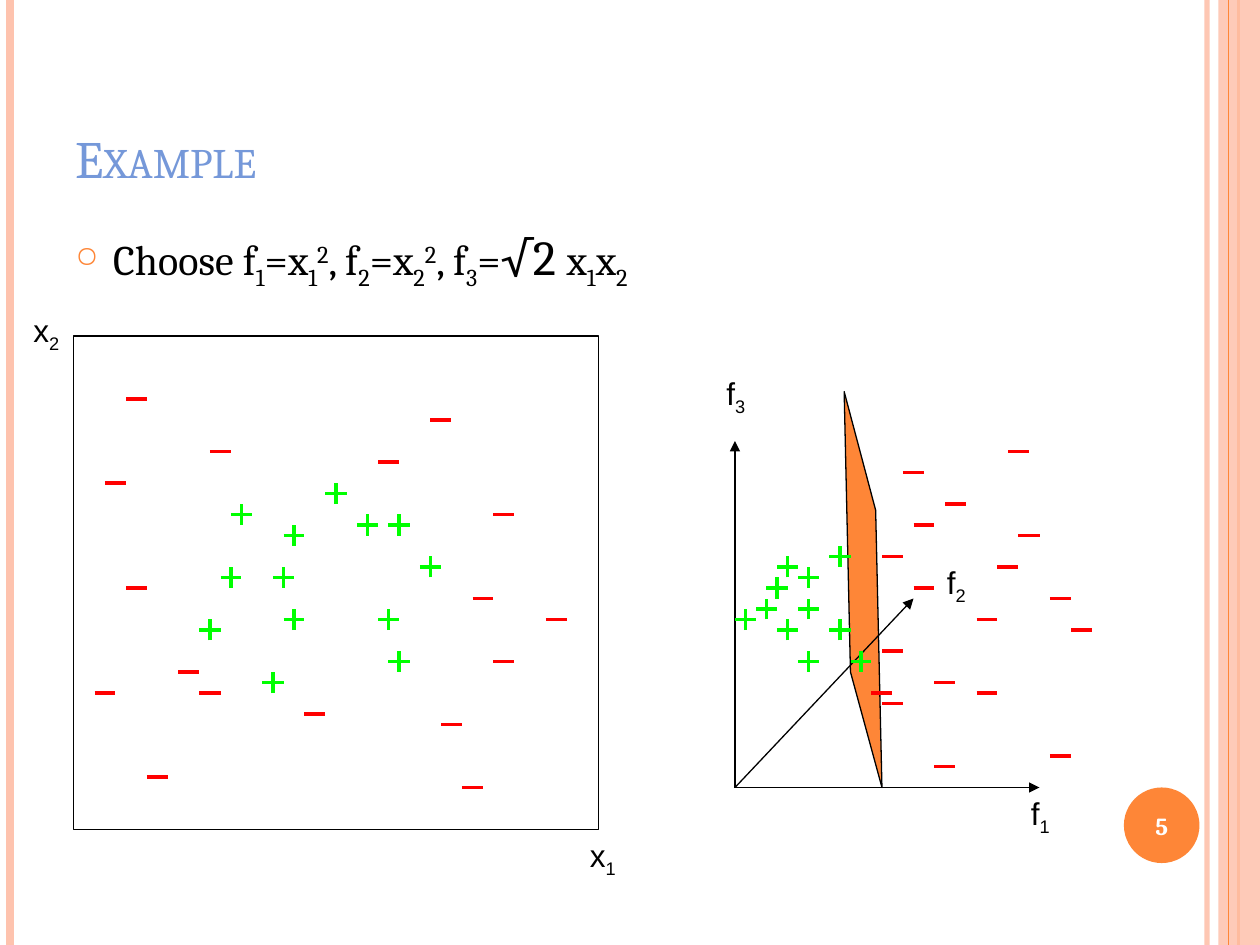
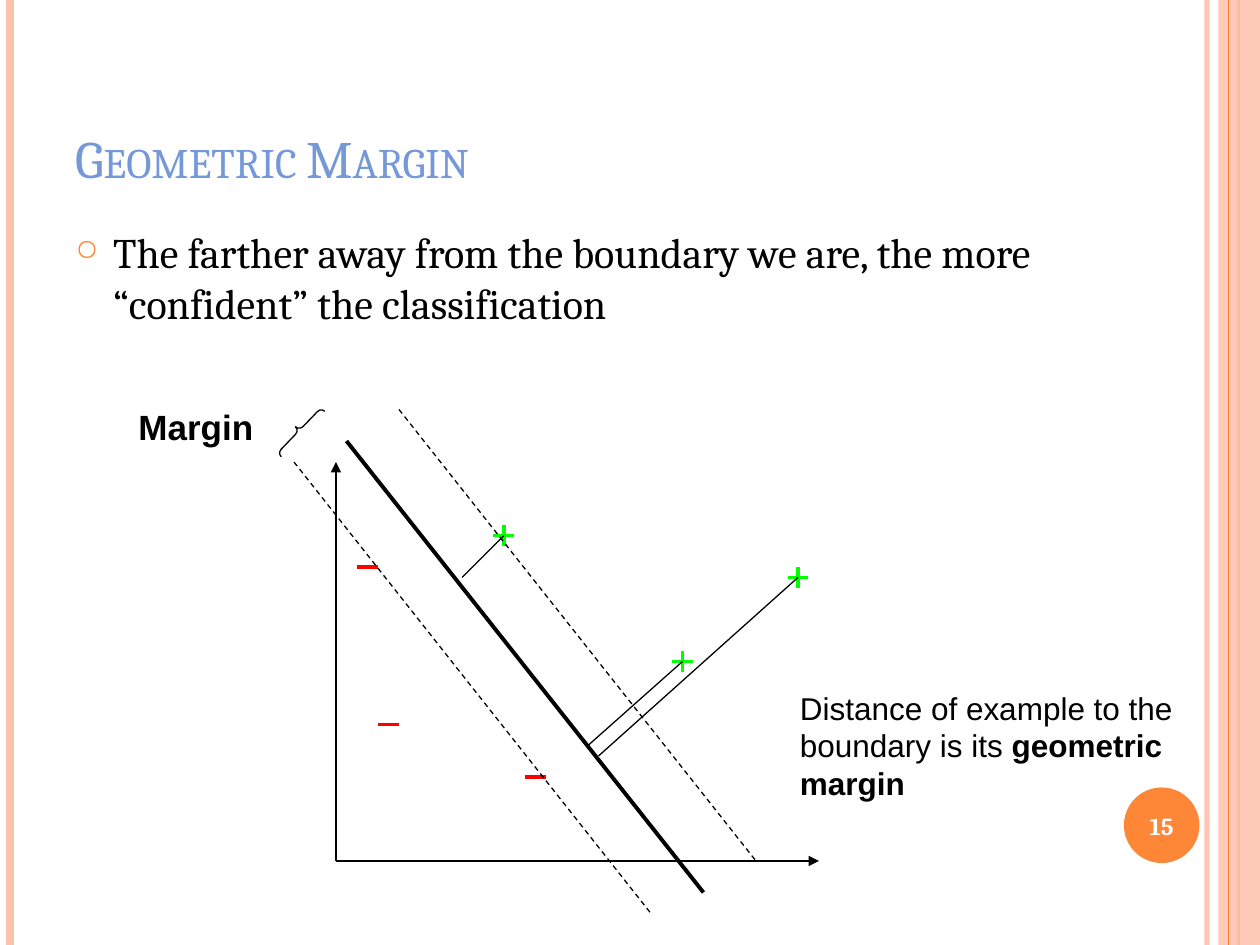
from lxml.etree import SubElement
from pptx import Presentation
from pptx.dml.color import RGBColor
from pptx.enum.dml import MSO_LINE
from pptx.enum.shapes import MSO_CONNECTOR, MSO_SHAPE
from pptx.enum.text import MSO_ANCHOR, PP_ALIGN
from pptx.oxml.ns import qn
from pptx.util import Inches, Pt

WIDTH, HEIGHT = 10, 7.5
CELL = 1 / 12  # drawings sit on a grid of twelfths of an inch

COLORS = {
    "title": "7598D9", "accent": "FE8637", "band": "FEC3AE",
    "text": "000000", "paper": "FFFFFF", "minus": "FF0000", "plus": "00FF00",
}
SERIF, SANS = "Cambria", "Arial"
BASELINES = {"sub": "-25000", "sup": "30000"}

# Vertical lines at the slide edges: x, colour, width in points, opacity in %
EDGE_LINES = [
    (9.58, "band", 3, 93), (0.08, "band", 4.5, 100),
    (9.83, "accent", 1.5, 100),
]
INNER_EDGE_LINE = (9.75, "accent", 0.75, 100)

# Text is a list of (words, style) pairs; grid places are (column, row)
EXAMPLE = {
    "title": "Example",
    "number": "5",
    "body": [
        ("Choose f", ""), ("1", "sub"), ("=x", ""), ("1", "sub"), ("2", "sup"),
        (", f", ""), ("2", "sub"), ("=x", ""), ("2", "sub"), ("2", "sup"),
        (", f", ""), ("3", "sub"), ("=", ""), ("√2 ", "big"),
        ("x", ""), ("1", "sub"), ("x", ""), ("2", "sub"),
    ],
    "input_frame": (7, 32, 50, 47),
    "input_minus": [
        (13, 38), (11, 46), (21, 43), (13, 56), (10, 66), (18, 64), (15, 74),
        (20, 66), (42, 40), (48, 49), (30, 68), (37, 44), (46, 57), (53, 59),
        (48, 63), (45, 75), (43, 69),
    ],
    "input_plus": [
        (28, 51), (22, 55), (23, 49), (28, 59), (27, 55), (32, 47), (38, 50),
        (35, 50), (37, 59), (26, 65), (20, 60), (38, 63), (41, 54),
    ],
    "plane": [(80.4, 37.3), (83.4, 48.6), (84, 75), (81, 64)],
    "origin": (70, 75),
    "axis_ends": [(70, 42), (87, 57), (99, 75)],
    "feature_plus": [
        (77, 55), (77, 58), (73, 58), (77, 63), (80, 53), (80, 60), (71, 59),
        (75, 54), (74, 56), (75, 60), (82, 63),
    ],
    "feature_minus": [
        (96, 54), (98, 51), (87, 45), (88, 50), (101, 57), (94, 59), (91, 48),
        (85, 53), (90, 65), (88, 56), (84, 66), (85, 62), (85, 67), (97, 43),
        (94, 66), (90, 73), (101, 72), (103, 60),
    ],
    "axis_labels": [
        ("x", "1", (55, 79)), ("x", "2", (2, 29)),
        ("f", "1", (97, 75)), ("f", "2", (89, 53)), ("f", "3", (68, 35)),
    ],
}

MARGIN = {
    "title": "Geometric Margin",
    "number": "15",
    "body": [("The farther away from the boundary we are, the more "
              "“confident” the classification", "")],
    "origin": (32, 82),
    "axis_ends": [(32, 44), (78, 82)],
    "minus": [(35, 54), (37, 69), (51, 74)],
    "plus": [(48, 51), (65, 63), (76, 55)],
    "boundary_run": (34, 43),
    "boundary_start": (33, 42),
    "margin_starts": [(28, 44), (38, 39)],
    "distance_feet": [(44, 55), (56, 71), (57, 72)],
    "brace": (28, 38, 1, 6),
    "brace_label": [("Margin", "bold")],
    "note": [("Distance of example to the boundary is its ", ""),
             ("geometric margin", "bold")],
}


def color(name):
    return RGBColor.from_string(COLORS[name])


def grid(*cells):
    return [Inches(cell * CELL) for cell in cells]


def set_opacity(fill_parent, percent):
    """Add an alpha value to the solid fill found below an element."""
    tint = next(fill_parent.iter(qn("a:srgbClr")))
    SubElement(tint, qn("a:alpha"), val=str(percent * 1000))


def add_line(shapes, start, end, tint="text", width=0.75, dashed=False, arrow=False):
    line = shapes.add_connector(MSO_CONNECTOR.STRAIGHT, *grid(*start), *grid(*end))
    line.line.color.rgb = color(tint)
    line.line.width = Pt(width)
    if dashed:
        line.line.dash_style = MSO_LINE.DASH
    if arrow:
        SubElement(line.line._get_or_add_ln(), qn("a:tailEnd"), type="triangle")
    SubElement(line._element.spPr, qn("a:effectLst"))
    return line


def style_shape(shape, fill=None, outline=None):
    shape.shadow.inherit = False
    if fill:
        shape.fill.solid()
        shape.fill.fore_color.rgb = color(fill)
    else:
        shape.fill.background()
    if outline:
        shape.line.color.rgb = color(outline)
        shape.line.width = Pt(0.75)
    else:
        shape.line.fill.background()
    return shape


def fill_paragraph(para, spans, font, size, tint="text"):
    for words, style in spans:
        span = para.add_run()
        span.text = words
        span.font.name = font
        span.font.size = Pt(size + 4 if style == "big" else size)
        span.font.color.rgb = color(tint)
        if style == "bold":
            span.font.bold = True
        properties = span._r.get_or_add_rPr()
        if style in BASELINES:
            properties.set("baseline", BASELINES[style])
        if style == "caps":
            properties.set("cap", "small")


def add_text(page, place, spans, font, size, tint="text", anchor=MSO_ANCHOR.TOP, bullet=False):
    box = page.shapes.add_textbox(*place)
    box.text_frame.word_wrap = True
    box.text_frame.vertical_anchor = anchor
    para = box.text_frame.paragraphs[0]
    if bullet:
        add_bullet(para)
    fill_paragraph(para, spans, font, size, tint)


def add_bullet(para):
    properties = para._p.get_or_add_pPr()
    properties.set("marL", str(Inches(0.3)))
    properties.set("indent", str(-Inches(0.3)))
    tint = SubElement(properties, qn("a:buClr"))
    SubElement(tint, qn("a:srgbClr"), val=COLORS["accent"])
    SubElement(properties, qn("a:buSzPct"), val="70000")
    SubElement(properties, qn("a:buChar"), char="○")


def add_edge_line(page, x, tint, width, opacity):
    line = add_line(page.shapes, (x / CELL, 0), (x / CELL, HEIGHT / CELL), tint, width)
    if opacity < 100:
        set_opacity(line._element.spPr, opacity)


def add_page(deck, content):
    """Add a slide with the shared bands, number badge, title and body."""
    page = deck.slides.add_slide(deck.slide_layouts[6])
    for edge in EDGE_LINES:
        add_edge_line(page, *edge)
    band = page.shapes.add_shape(
        MSO_SHAPE.RECTANGLE, Inches(9.67), 0, Inches(0.33), Inches(HEIGHT))
    set_opacity(style_shape(band, "band")._element.spPr, 87)
    add_edge_line(page, *INNER_EDGE_LINE)

    badge = page.shapes.add_shape(
        MSO_SHAPE.OVAL, Inches(8.92), Inches(6.25), Inches(0.6), Inches(0.6))
    style_shape(badge, "accent")
    frame = badge.text_frame
    frame.margin_left = frame.margin_right = 0
    frame.vertical_anchor = MSO_ANCHOR.MIDDLE
    frame.paragraphs[0].alignment = PP_ALIGN.CENTER
    fill_paragraph(frame.paragraphs[0], [(content["number"], "bold")], SERIF, 14, "paper")

    left, width = Inches(0.5), Inches(8.17)
    add_text(page, (left, Inches(0.3), width, Inches(1.25)), [(content["title"], "caps")],
             SERIF, 30, "title", MSO_ANCHOR.BOTTOM)
    add_text(page, (left, Inches(1.75), width, Inches(5.33)), content["body"],
             SERIF, 24, bullet=True)
    return page


def add_minuses(shapes, centers):
    for x, y in centers:
        add_line(shapes, (x - 1, y), (x + 1, y), "minus", 2.25)


def add_pluses(shapes, centers):
    for x, y in centers:
        sign = shapes.add_group_shape().shapes
        add_line(sign, (x - 1, y), (x + 1, y), "plus", 2.25)
        add_line(sign, (x, y + 1), (x, y - 1), "plus", 2.25)


def add_axes(page, content):
    for end in content["axis_ends"]:
        add_line(page.shapes, content["origin"], end, arrow=True)


def build_example(deck):
    page = add_page(deck, EXAMPLE)
    shapes = page.shapes
    corners = [grid(*corner) for corner in EXAMPLE["plane"]]
    outline = shapes.build_freeform(*corners[0])
    outline.add_line_segments(corners[1:], close=True)
    style_shape(outline.convert_to_shape(), "accent", "text")

    frame = shapes.add_shape(MSO_SHAPE.RECTANGLE, *grid(*EXAMPLE["input_frame"]))
    style_shape(frame, "paper", "text")
    add_minuses(shapes, EXAMPLE["input_minus"])
    add_pluses(shapes, EXAMPLE["input_plus"])

    add_axes(page, EXAMPLE)
    add_pluses(shapes, EXAMPLE["feature_plus"])
    add_minuses(shapes, EXAMPLE["feature_minus"])
    for letter, index, corner in EXAMPLE["axis_labels"]:
        add_text(page, grid(*corner, 7, 4.8), [(letter, ""), (index, "sub")], SANS, 18)


def build_margin(deck):
    page = add_page(deck, MARGIN)
    shapes = page.shapes
    add_axes(page, MARGIN)
    add_minuses(shapes, MARGIN["minus"])
    add_pluses(shapes, MARGIN["plus"])

    run, drop = MARGIN["boundary_run"]
    x, y = MARGIN["boundary_start"]
    add_line(shapes, (x, y), (x + run, y + drop), width=2.25)
    for x, y in MARGIN["margin_starts"]:
        add_line(shapes, (x, y), (x + run, y + drop), dashed=True)

    brace = shapes.add_shape(MSO_SHAPE.LEFT_BRACE, *grid(*MARGIN["brace"]))
    style_shape(brace, outline="text")
    brace.adjustments[0] = brace.adjustments[1] = 0.5
    brace.rotation = 43.9
    add_text(page, grid(12, 38, 15, 5.2), MARGIN["brace_label"], SANS, 20)
    add_text(page, grid(75, 65, 42, 12), MARGIN["note"], SANS, 18)
    for foot, example in zip(MARGIN["distance_feet"], MARGIN["plus"]):
        add_line(shapes, foot, example)


def main():
    deck = Presentation()
    deck.slide_width, deck.slide_height = Inches(WIDTH), Inches(HEIGHT)
    build_example(deck)
    build_margin(deck)
    deck.save("out.pptx")


if __name__ == "__main__":
    main()
